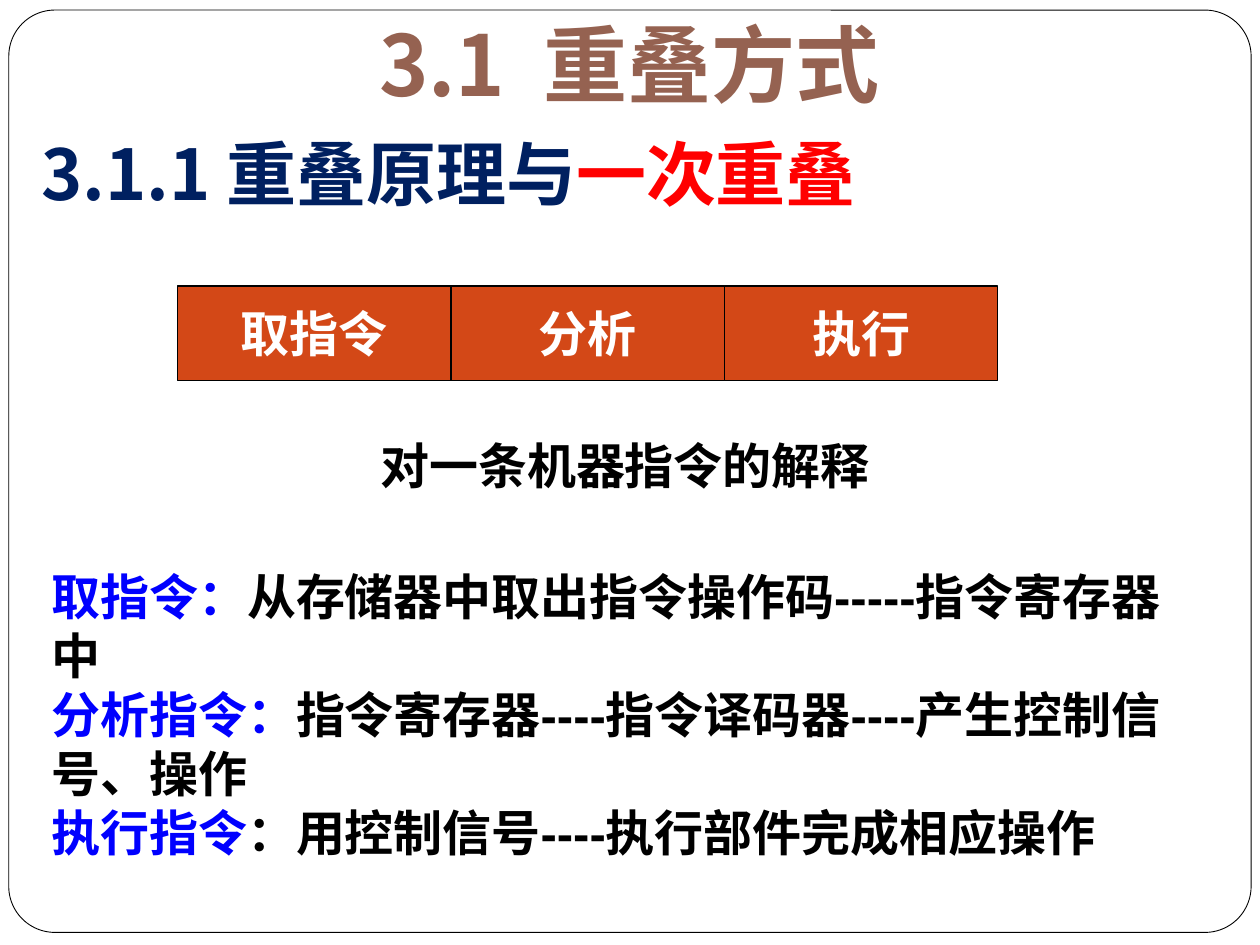
"""Build the slide on the overlap method and the steps of interpreting an instruction."""
from pptx import Presentation
from pptx.dml.color import RGBColor
from pptx.enum.shapes import MSO_SHAPE
from pptx.enum.text import MSO_ANCHOR, PP_ALIGN
from pptx.oxml.ns import qn
from pptx.util import Inches, Pt

ROUNDED, RECT = MSO_SHAPE.ROUNDED_RECTANGLE, MSO_SHAPE.RECTANGLE
MIDDLE = MSO_ANCHOR.MIDDLE
LEFT, CENTER = PP_ALIGN.LEFT, PP_ALIGN.CENTER
WHITE = RGBColor(0xFF, 0xFF, 0xFF)
BLACK = RGBColor(0x00, 0x00, 0x00)
BROWN = RGBColor(0x95, 0x62, 0x51)
NAVY = RGBColor(0x00, 0x20, 0x60)
RED = RGBColor(0xFF, 0x00, 0x00)
BLUE = RGBColor(0x00, 0x00, 0xFF)
ORANGE = RGBColor(0xD3, 0x48, 0x17)
HEAD_FONT, BODY_FONT = "Noto Sans CJK SC", "Arial"


def add_box(shape, left, top, width, height, fill, line_width):
    sp = s.shapes.add_shape(shape, Inches(left), Inches(top), Inches(width), Inches(height))
    sp.shadow.inherit = False
    sp.fill.solid()
    sp.fill.fore_color.rgb = fill
    sp.line.color.rgb = BLACK
    sp.line.width = Pt(line_width)
    return sp


def write(sp, paragraphs, size, font, align=LEFT, wrap=True):
    tf = sp.text_frame
    tf.word_wrap = wrap
    for i, runs in enumerate(paragraphs):
        p = tf.add_paragraph() if i else tf.paragraphs[0]
        p.alignment = align
        for text, color in runs:
            r = p.add_run()
            r.text = text
            r.font.size = Pt(size)
            r.font.bold = True
            r.font.name = font
            r.font.color.rgb = color
            if font == HEAD_FONT:
                ea = r.font._element.makeelement(qn("a:ea"), {"typeface": font})
                r.font._element.append(ea)


prs = Presentation()
prs.slide_width, prs.slide_height = Inches(10), Inches(7.5)
s = prs.slides.add_slide(prs.slide_layouts[6])

frame = add_box(ROUNDED, 0.07, 0.08, 9.86, 7.32, WHITE, 0.5)
frame.adjustments[0] = 0.05

title = s.shapes.add_textbox(Inches(0.27), Inches(0.05), Inches(9.45), Inches(1.25))
write(title, [[("3.1  重叠方式", BROWN)]], 48, HEAD_FONT, CENTER)

heading = s.shapes.add_textbox(Inches(0.23), Inches(0.99), Inches(7.33), Inches(0.62))
write(heading, [[("3.1.1 重叠原理与", NAVY), ("一次重叠", RED)]], 40, HEAD_FONT)

STEP_WIDTH = 2.17
for i, step in enumerate(["取指令", "分析", "执行"]):
    sp = add_box(RECT, 1.41 + i * STEP_WIDTH, 2.27, STEP_WIDTH, 0.75, ORANGE, 0.75)
    sp.text_frame.vertical_anchor = MIDDLE
    write(sp, [[(step, WHITE)]], 28, BODY_FONT, CENTER, wrap=False)

caption = s.shapes.add_textbox(Inches(2.92), Inches(3.41), Inches(4.08), Inches(0.57))
write(caption, [[("对一条机器指令的解释", BLACK)]], 28, BODY_FONT, wrap=False)

details = s.shapes.add_textbox(Inches(0.31), Inches(4.45), Inches(9.14), Inches(2.44))
write(details, [
    [("取指令：", BLUE), ("从存储器中取出指令操作码-----指令寄存器中", BLACK)],
    [("分析指令：", BLUE), ("指令寄存器----指令译码器----产生控制信号、操作", BLACK)],
    [("执行指令", BLUE), ("：用控制信号----执行部件完成相应操作", BLACK)],
], 28, BODY_FONT)

prs.save("out.pptx")
